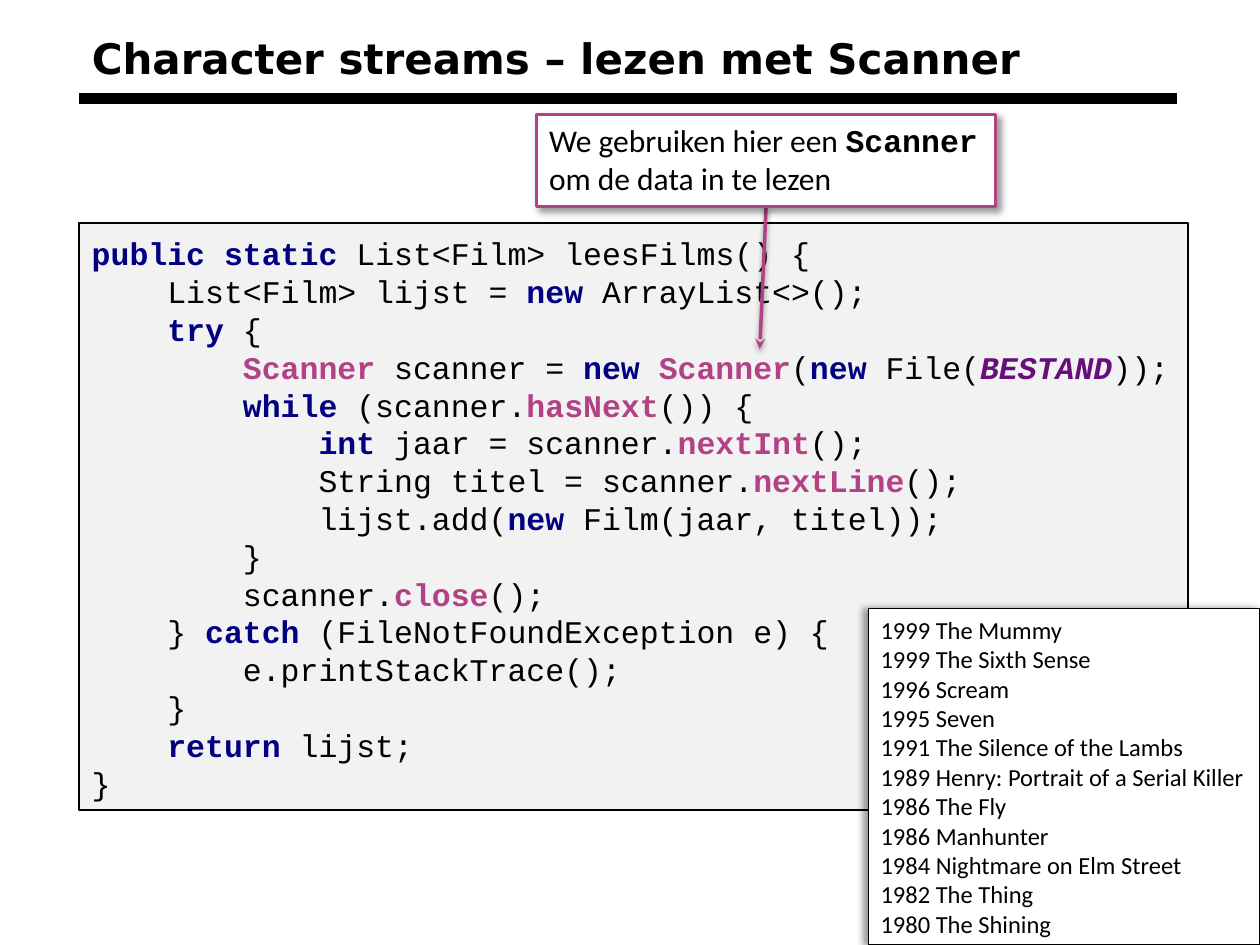
from lxml import etree
from pptx import Presentation
from pptx import util as u
from pptx.dml import color
from pptx.enum import shapes, text
from pptx.oxml import ns

COLORS = {"black": "000000", "white": "FFFFFF", "panel": "F2F2F2",
          "keyword": "000080", "accent": "B34185", "constant": "660E7A"}

PLAIN = {"name": "Calibri", "size": u.Pt(18), "bold": False, "italic": False}
CODE = {**PLAIN, "name": "Courier New"}
CODE_BOLD = {**CODE, "bold": True}
TITLE = {"name": "DejaVu Sans", "size": u.Pt(24), "bold": True}
LIST = {**PLAIN, "size": u.Pt(14)}

TOKENS = {"@": ("keyword", CODE_BOLD),
          "#": ("accent", CODE_BOLD),
          "$": ("constant", {**CODE_BOLD, "italic": True})}

CODE_LINES = [
    (0, "@public static |List<Film> leesFilms() {"),
    (1, "List<Film> lijst = |@new |ArrayList<>();"),
    (1, "@try |{"),
    (2, "#Scanner |scanner = |@new |#Scanner|(|@new |File(|$BESTAND|));"),
    (2, "@while |(scanner.|#hasNext|()) {"),
    (3, "@int |jaar = scanner.|#nextInt|();"),
    (3, "String titel = scanner.|#nextLine|();"),
    (3, "lijst.add(|@new |Film(jaar, titel));"),
    (2, "}"),
    (2, "scanner.|#close|();"),
    (1, "} |@catch |(FileNotFoundException e) {"),
    (2, "e.printStackTrace();"),
    (1, "}"),
    (1, "@return |lijst;"),
    (0, "}"),
]

FILMS = [
    "1999 The Mummy", "1999 The Sixth Sense", "1996 Scream", "1995 Seven",
    "1991 The Silence of the Lambs", "1989 Henry: Portrait of a Serial Killer",
    "1986 The Fly", "1986 Manhunter", "1984 Nightmare on Elm Street",
    "1982 The Thing", "1980 The Shining",
]


def rgb(name):
    return color.RGBColor.from_string(COLORS[name])


def inches(box):
    return [u.Inches(v) for v in box]


def add_run(p, words, style, tint="black"):
    r = p.add_run()
    r.text = words
    for key, value in style.items():
        setattr(r.font, key, value)
    r.font.color.rgb = rgb(tint)


def set_effects(sp, shadow=None):
    props = sp._element.spPr
    for old in props.findall(ns.qn("a:effectLst")):
        props.remove(old)
    effects = etree.SubElement(props, ns.qn("a:effectLst"))
    if shadow:
        alpha, blur, distance, angle = shadow
        outer = etree.SubElement(
            effects, ns.qn("a:outerShdw"), blurRad=str(u.Pt(blur)),
            dist=str(u.Pt(distance)), dir=str(angle * 60000),
            algn="ctr", rotWithShape="0")
        tint = etree.SubElement(outer, ns.qn("a:srgbClr"), val=COLORS["black"])
        etree.SubElement(tint, ns.qn("a:alpha"), val=str(alpha * 1000))


def add_panel(s, box, fill, line, width, shadow=None):
    sp = s.shapes.add_shape(shapes.MSO_SHAPE.RECTANGLE, *inches(box))
    sp.fill.solid()
    sp.fill.fore_color.rgb = rgb(fill)
    sp.line.color.rgb = rgb(line)
    sp.line.width = u.Pt(width)
    set_effects(sp, shadow)
    tf = sp.text_frame
    tf.word_wrap = True
    tf.vertical_anchor = text.MSO_ANCHOR.TOP
    return tf


def add_line(s, ends, tint, width):
    cx = s.shapes.add_connector(shapes.MSO_CONNECTOR.STRAIGHT, *inches(ends))
    cx.line.color.rgb = rgb(tint)
    cx.line.width = u.Pt(width)
    return cx


def paragraphs(tf, items):
    for i, item in enumerate(items):
        p = tf.add_paragraph() if i else tf.paragraphs[0]
        p.alignment = text.PP_ALIGN.LEFT
        yield p, item


def add_title(s, box):
    left, top, width, height = box
    rule_y = top + height
    set_effects(add_line(s, (left, rule_y, left + width, rule_y), "black", 6))
    tf = s.shapes.add_textbox(*inches(box)).text_frame
    tf.word_wrap = True
    tf.vertical_anchor = text.MSO_ANCHOR.MIDDLE
    add_run(tf.paragraphs[0], "Character streams – lezen met Scanner", TITLE)


def add_code(s, box):
    tf = add_panel(s, box, "panel", "black", 1)
    tf.margin_top = u.Inches(0.09)
    for p, (level, line) in paragraphs(tf, CODE_LINES):
        p.line_spacing = u.Pt(21.6)
        p._p.get_or_add_pPr().set("marL", str(u.Inches(0.6 * level)))
        for part in line.split("|"):
            if part[0] in TOKENS:
                tint, style = TOKENS[part[0]]
                add_run(p, part[1:], style, tint)
            else:
                add_run(p, part, CODE)


def add_films(s, box):
    tf = add_panel(s, box, "white", "black", 0.75, (40, 4, 3, 180))
    for p, film in paragraphs(tf, FILMS):
        add_run(p, film, LIST)


def add_callout(s, box, target):
    left, top, width, height = box
    start = (left + width / 2, top + height)
    arrow = add_line(s, (*start, *target), "accent", 2)
    etree.SubElement(arrow.line._get_or_add_ln(), ns.qn("a:tailEnd"), type="stealth")
    set_effects(arrow, (38, 3.1, 1.6, 90))
    tf = add_panel(s, box, "white", "accent", 2, (40, 4, 3, 45))
    p = tf.paragraphs[0]
    p.alignment = text.PP_ALIGN.LEFT
    add_run(p, "We gebruiken hier een ", PLAIN)
    add_run(p, "Scanner", CODE_BOLD)
    add_run(p, " om de data in te lezen", PLAIN)


def main():
    prs = Presentation()
    prs.slide_width, prs.slide_height = inches((10, 7.5))
    s = prs.slides.add_slide(prs.slide_layouts[6])
    add_title(s, (0.63, 0.14, 8.71, 0.64))
    add_code(s, (0.63, 1.77, 8.8, 4.66))
    add_callout(s, (4.26, 0.91, 3.64, 0.73), (6.03, 2.77))
    add_films(s, (6.89, 4.83, 3.11, 2.67))
    prs.save("out.pptx")


if __name__ == "__main__":
    main()
